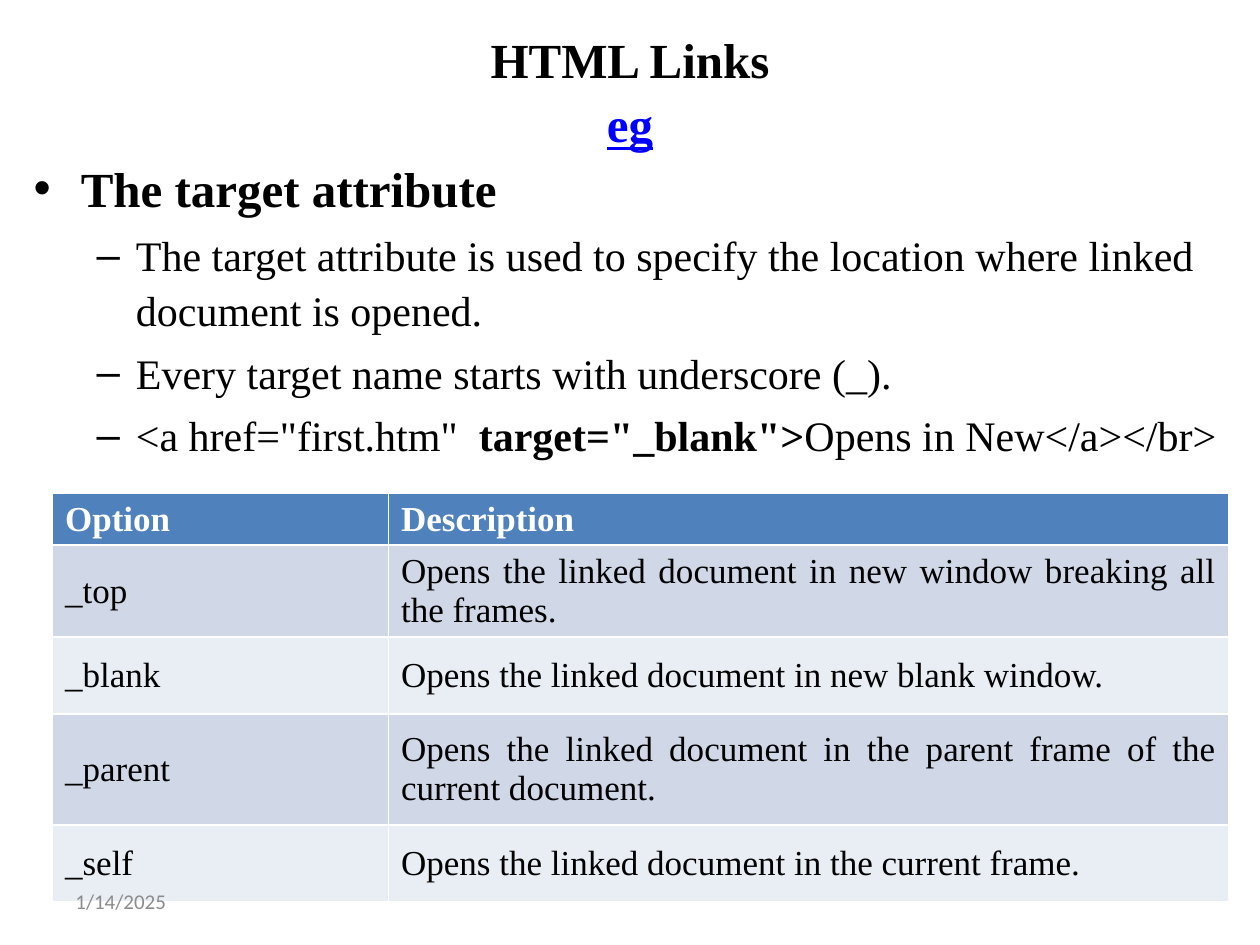
from dataclasses import dataclass

from pptx import Presentation
from pptx.dml.color import RGBColor as RGB
from pptx.enum.text import MSO_ANCHOR as Anchor, MSO_AUTO_SIZE as Fit, PP_ALIGN as Align
from pptx.util import Inches, Pt

UNIT = Inches(1 / 12)  # the slide is a grid of 120 columns by 90 rows


@dataclass(frozen=True)
class Theme:
    serif: str = "Times New Roman"
    sans: str = "Calibri"
    ink: str = "000000"
    link: str = "0000FF"
    mute: str = "8C8C8C"
    white: str = "FFFFFF"
    head: str = "4F81BD"
    bands: tuple = ("D0D8E8", "E9EDF4")
    big: int = 28
    mid: int = 24
    cell: int = 20
    small: int = 12


THEME = Theme()

TITLE = ("HTML Links", "eg")
TOPIC = "The target attribute"
POINTS = [
    ["The target attribute is used to specify the location where linked document is opened."],
    ["Every target name starts with underscore (_)."],
    ['<a href="first.htm"  ', 'target="_blank">', "Opens in New</a></br>"],
]
ROWS = [
    ("Option", "Description"),
    ("_top", "Opens the linked document in new window breaking all the frames."),
    ("_blank", "Opens the linked document in new blank window."),
    ("_parent", "Opens the linked document in the parent frame of the current document."),
    ("_self", "Opens the linked document in the current frame."),
]
WIDTHS = (2, 5)  # shares of the table's width
HEIGHTS = (0.41, 0.73, 0.61, 0.88, 0.61)


def grid(*cells):
    return [round(n * UNIT) for n in cells]


def place(shape, box):
    shape.left, shape.top, shape.width, shape.height = box


def style(run, size, color=THEME.ink, bold=False, face=THEME.serif):
    font = run.font
    font.name, font.size, font.bold = face, Pt(size), bold
    font.color.rgb = RGB.from_string(color)


def add_title(slide, box):
    shape = slide.shapes.title
    place(shape, box)
    frame = shape.text_frame
    frame.text = "\v".join(TITLE)
    frame.auto_size = Fit.NONE
    frame.vertical_anchor = Anchor.MIDDLE
    frame.margin_bottom = Inches(0.51)
    para = frame.paragraphs[0]
    para.alignment, para.line_spacing = Align.CENTER, 1.09
    head, link = para.runs
    style(head, THEME.big, bold=True)
    style(link, THEME.big, THEME.link, bold=True)
    link.font.underline = True


def add_body(slide, box):
    shape = slide.placeholders[1]
    place(shape, box)
    frame = shape.text_frame
    frame.text = TOPIC
    frame.auto_size = Fit.NONE
    first = frame.paragraphs[0]
    first.space_before, first.line_spacing = Pt(0), 1.09
    style(first.runs[0], THEME.big, bold=True)
    for parts in POINTS:
        para = frame.add_paragraph()
        para.level, para.line_spacing = 1, 1.08
        for i, part in enumerate(parts):
            run = para.add_run()
            run.text = part
            style(run, THEME.mid, bold=i == 1)


def add_options(slide, box):
    table = slide.shapes.add_table(len(ROWS), len(WIDTHS), *box).table
    for col, share in zip(table.columns, WIDTHS):
        col.width = round(box[2] * share / sum(WIDTHS))
    for r, (texts, height) in enumerate(zip(ROWS, HEIGHTS)):
        table.rows[r].height = Inches(height)
        top = r == 0
        fill = THEME.head if top else THEME.bands[(r - 1) % 2]
        for c, text in enumerate(texts):
            cell = table.cell(r, c)
            cell.text = text
            cell.vertical_anchor = Anchor.MIDDLE
            cell.fill.solid()
            cell.fill.fore_color.rgb = RGB.from_string(fill)
            para = cell.text_frame.paragraphs[0]
            para.alignment = Align.JUSTIFY
            style(para.runs[0], THEME.cell, THEME.white if top else THEME.ink, bold=top)


def add_date(slide, box):
    frame = slide.shapes.add_textbox(*box).text_frame
    frame.text = "1/14/2025"
    frame.word_wrap = True
    frame.vertical_anchor = Anchor.MIDDLE
    style(frame.paragraphs[0].runs[0], THEME.small, THEME.mute, face=THEME.sans)


def main():
    deck = Presentation()
    deck.slide_width, deck.slide_height = grid(120, 90)
    slide = deck.slides.add_slide(deck.slide_layouts[1])
    add_title(slide, grid(6, 6, 108, 10.4))
    add_body(slide, grid(2, 14, 116, 31))
    add_options(slide, grid(5, 47, 112, 39))
    add_date(slide, grid(6, 83.4, 28, 4.8))
    deck.save("out.pptx")


if __name__ == "__main__":
    main()
